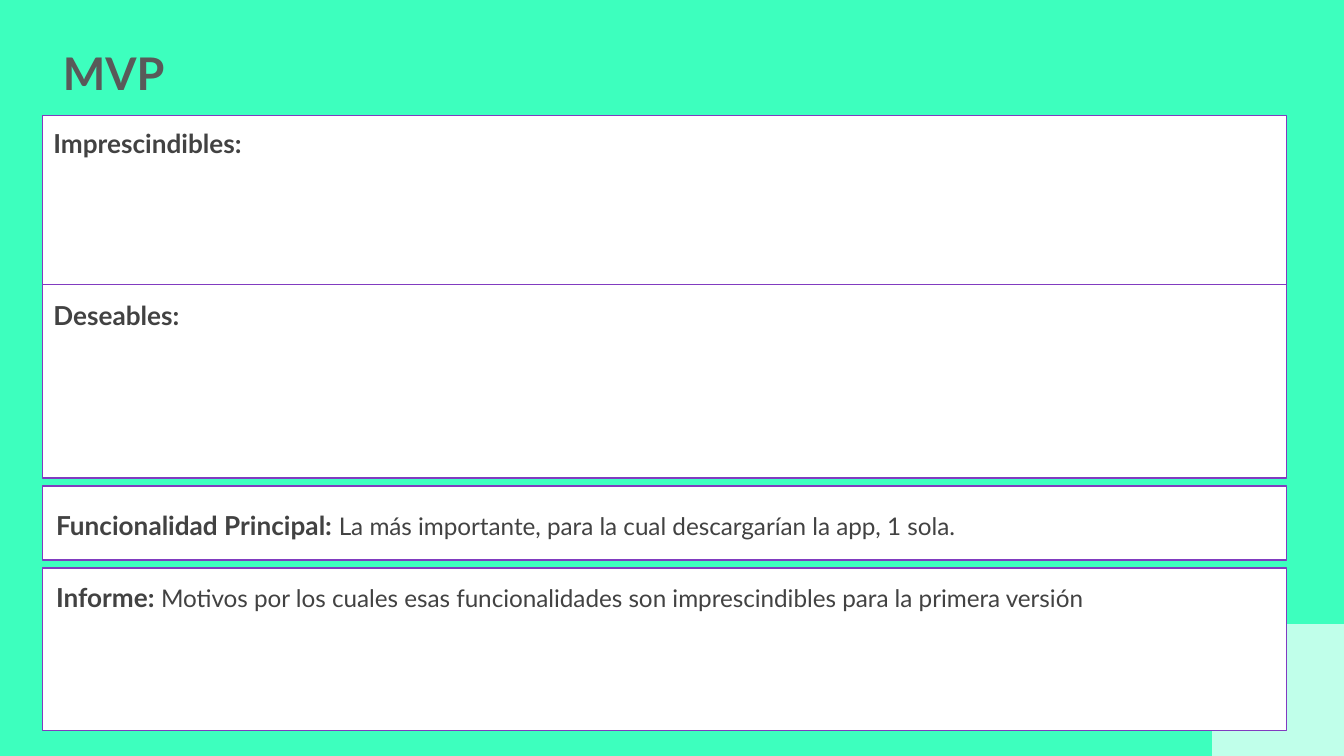
from dataclasses import dataclass
from pptx import Presentation
from pptx.dml.color import RGBColor
from pptx.enum.shapes import MSO_CONNECTOR as Connector, MSO_SHAPE as Shape
from pptx.enum.text import MSO_ANCHOR as Anchor, MSO_AUTO_SIZE as AutoSize
from pptx.oxml.ns import qn
from pptx.util import Cm, Pt
from lxml.etree import SubElement


@dataclass(frozen=True)
class Theme:
    font: str = "Lato"
    background: str = "3DFFBE"
    panel: str = "FFFFFF"
    border: str = "813BC0"
    title: str = "595959"
    text: str = "424242"
    title_size: float = 24.1
    label_size: float = 14
    detail_size: float = 13
    border_width: float = 0.75
    corner_opacity: int = 68


THEME = Theme()
WIDTH, HEIGHT = 25.4, 14.29
LEFT, PANEL_WIDTH = 0.81, 23.5
LABEL_HEIGHT = 1.12


def color(value):
    return RGBColor.from_string(value)


def place(box):
    return [Cm(length) for length in box]


def style_run(run, size, value, bold):
    run.font.name = THEME.font
    run.font.size = Pt(size)
    run.font.bold = bold
    run.font.color.rgb = color(value)


def add_text_frame(slide, box):
    frame = slide.shapes.add_textbox(*place(box)).text_frame
    frame.word_wrap = True
    frame.margin_left = frame.margin_right = Cm(0.25)
    frame.margin_top = frame.margin_bottom = Cm(0.25)
    return frame


def add_title(slide, box, wording):
    frame = add_text_frame(slide, box)
    frame.vertical_anchor = Anchor.MIDDLE
    frame.text = wording
    heading = frame.paragraphs[0]
    heading.line_spacing = 0.8
    style_run(heading.runs[0], THEME.title_size, THEME.title, True)


def add_label(slide, box, label, detail=""):
    frame = add_text_frame(slide, box)
    frame.auto_size = AutoSize.SHAPE_TO_FIT_TEXT
    frame.text = label
    line = frame.paragraphs[0]
    style_run(line.runs[0], THEME.label_size, THEME.text, True)
    if detail:
        explanation = line.add_run()
        explanation.text = detail
        style_run(explanation, THEME.detail_size, THEME.text, False)


def add_panel(slide, box):
    panel = slide.shapes.add_shape(Shape.RECTANGLE, *place(box))
    panel.shadow.inherit = False
    panel.fill.solid()
    panel.fill.fore_color.rgb = color(THEME.panel)
    panel.line.color.rgb = color(THEME.border)
    panel.line.width = Pt(THEME.border_width)


def add_features(slide, box, split, labels):
    left, top, width, height = box
    add_panel(slide, box)
    divider_y = top + split
    divider = slide.shapes.add_connector(
        Connector.STRAIGHT, *place((left, divider_y, left + width, divider_y)))
    divider.line.color.rgb = color(THEME.border)
    divider.line.width = Pt(THEME.border_width)
    SubElement(divider._element.spPr, qn("a:effectLst"))
    for label, label_top in zip(labels, (top - 0.02, divider_y + 0.03)):
        add_label(slide, (left - 0.05, label_top, 6.99, LABEL_HEIGHT), label)


def add_statement(slide, box, offset, label, detail):
    left, top, width, height = box
    add_panel(slide, box)
    add_label(slide, (left, top + offset, width - 0.4, LABEL_HEIGHT), label, detail)


def add_corner(slide, box):
    corner = slide.shapes.add_shape(Shape.ROUND_1_RECTANGLE, *place(box))
    corner.shadow.inherit = False
    corner.fill.solid()
    corner.fill.fore_color.rgb = color(THEME.panel)
    corner.line.fill.background()
    properties = corner._element.spPr
    properties.find(qn("a:xfrm")).set("flipH", "1")
    tint = properties.find(qn("a:solidFill")).find(qn("a:srgbClr"))
    SubElement(tint, qn("a:alpha")).set("val", str(THEME.corner_opacity * 1000))


def main():
    deck = Presentation()
    deck.slide_width, deck.slide_height = Cm(WIDTH), Cm(HEIGHT)
    slide = deck.slides.add_slide(deck.slide_layouts[6])
    slide.background.fill.solid()
    slide.background.fill.fore_color.rgb = color(THEME.background)

    corner_side = 2.49
    add_corner(slide, (WIDTH - corner_side, HEIGHT - corner_side, corner_side, corner_side))
    add_features(slide, (LEFT, 2.18, PANEL_WIDTH, 6.86), 3.2,
                 ("Imprescindibles:", "Deseables:"))
    add_statement(slide, (LEFT, 9.19, PANEL_WIDTH, 1.4), 0.18,
                  "Funcionalidad Principal: ",
                  "La más importante, para la cual descargarían la app, 1 sola.")
    add_statement(slide, (LEFT, 10.74, PANEL_WIDTH, 3.07), 0,
                  "Informe: ",
                  "Motivos por los cuales esas funcionalidades son imprescindibles "
                  "para la primera versión")
    add_title(slide, (0.94, 0.79, 5.49, 1.37), "MVP")
    deck.save("out.pptx")


if __name__ == "__main__":
    main()
